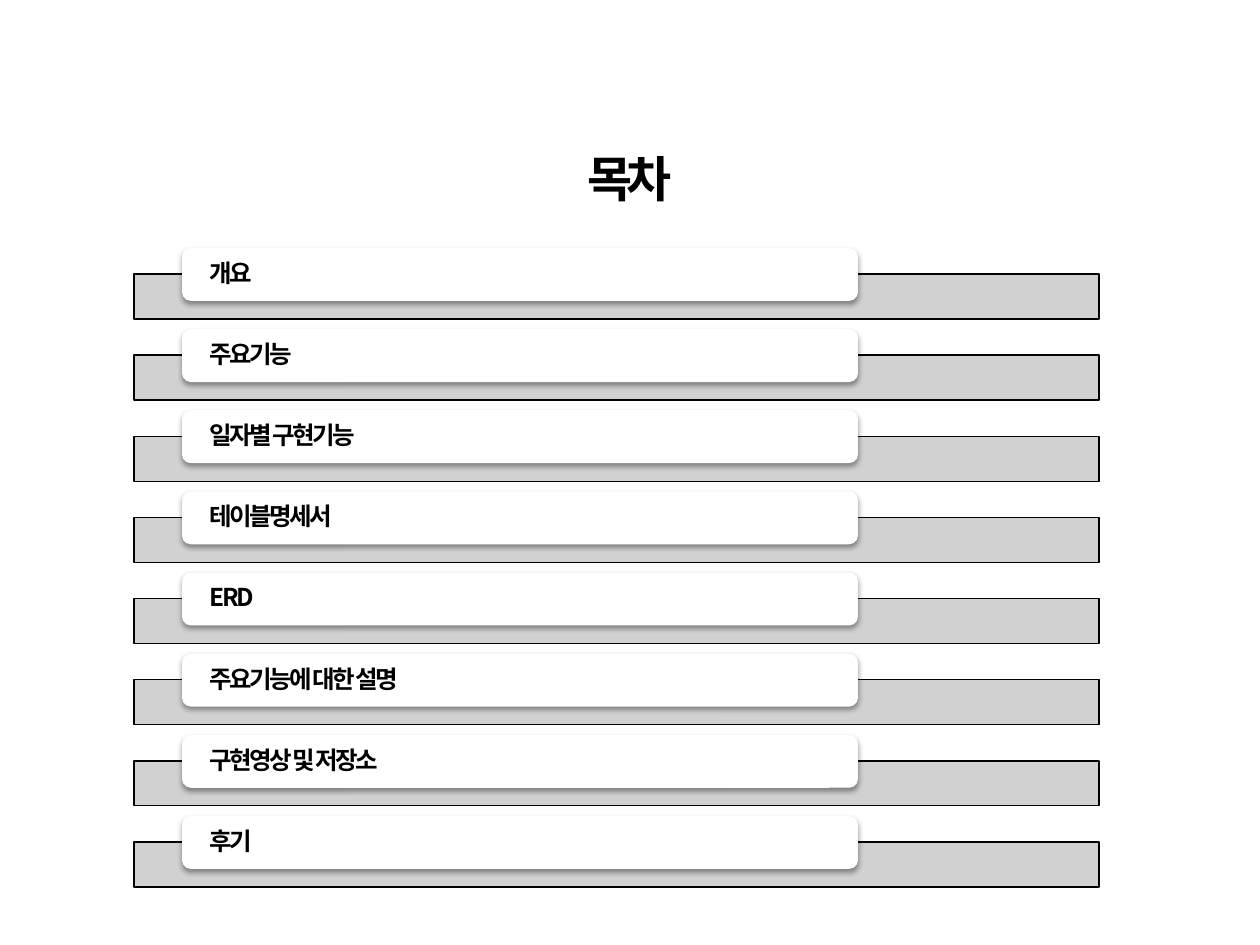
import pptx
import pptx.util
import pptx.dml.color
import pptx.enum.shapes
import pptx.enum.text
import pptx.oxml
import pptx.oxml.ns
import lxml.etree

TITLE = "목차"
ITEMS = [
    "개요",
    "주요기능",
    "일자별 구현기능",
    "테이블명세서",
    "ERD",
    "주요기능에 대한 설명",
    "구현영상 및 저장소",
    "후기",
]
FACE = "Noto Sans CJK KR"
HEAD = (94, 76, 1071, 203)
FIRST, LAST = 248, 816
BAR_X, BAR_W, BAR_H, DROP = 134, 965, 45, 26
CARD_X, CARD_W, CARD_H, PAD = 182, 676, 53, 25
NS = pptx.oxml.ns.nsdecls("a")
SHAPE = pptx.enum.shapes.MSO_SHAPE
ALIGN = pptx.enum.text.PP_ALIGN
MID = pptx.enum.text.MSO_ANCHOR.MIDDLE


def px(n):
    """Turn pixels into EMU."""
    return pptx.util.Emu(round(n * 914400 / 126))


def paint(fmt, code):
    """Set a solid colour on a fill."""
    fmt.solid()
    fmt.fore_color.rgb = pptx.dml.color.RGBColor.from_string(code)


def write(frame, text, size, space, align):
    """Put one bold line of text in a frame."""
    frame.text = text
    frame.word_wrap = True
    frame.vertical_anchor = MID
    para = frame.paragraphs[0]
    para.alignment = align
    font = para.font
    font.size = pptx.util.Pt(size)
    font.bold = True
    font.name = FACE
    paint(font.fill, "000000")
    props = para._p.get_or_add_pPr().get_or_add_defRPr()
    props.set("spc", str(round(space * 100)))
    east = lxml.etree.SubElement(props, pptx.oxml.ns.qn("a:ea"))
    east.set("typeface", FACE)
    return para


def block(kind, x, y, w, h, code):
    """Add a filled shape without a shadow."""
    shape = slide.shapes.add_shape(kind, px(x), px(y), px(w), px(h))
    paint(shape.fill, code)
    shape.shadow.inherit = False
    return shape


def add_bar(y):
    """Add the grey bar behind a card."""
    bar = block(SHAPE.RECTANGLE, BAR_X, y, BAR_W, BAR_H, "CCCCCC")
    paint(bar.line.fill, "000000")
    bar.line.width = pptx.util.Pt(0.75)
    tone = bar.fill._xPr.find(".//" + pptx.oxml.ns.qn("a:srgbClr"))
    tone.append(pptx.oxml.parse_xml(f'<a:alpha {NS} val="90000"/>'))


def add_card(y, text):
    """Add a white card with its text and soft shadow."""
    card = block(SHAPE.ROUNDED_RECTANGLE, CARD_X, y, CARD_W, CARD_H, "FFFFFF")
    card.line.fill.background()
    glow = card._element.spPr.find(pptx.oxml.ns.qn("a:effectLst"))
    glow.append(pptx.oxml.parse_xml(
        f'<a:outerShdw {NS} blurRad="40000" dist="20000" dir="5400000" '
        'rotWithShape="0"><a:srgbClr val="000000"><a:alpha val="38000"/>'
        '</a:srgbClr></a:outerShdw>'))
    frame = card.text_frame
    frame.margin_left = frame.margin_right = px(PAD)
    frame.margin_top = frame.margin_bottom = 0
    write(frame, text, 14, -1.5, ALIGN.LEFT).line_spacing = 0.9


deck = pptx.Presentation()
deck.slide_width, deck.slide_height = px(1260), px(945)
slide = deck.slides.add_slide(deck.slide_layouts[5])

title = slide.shapes.title
title.left, title.top, title.width, title.height = map(px, HEAD)
write(title.text_frame, TITLE, 28, -3, ALIGN.CENTER)

step = (LAST - FIRST) / (len(ITEMS) - 1)
for i, item in enumerate(ITEMS):
    top = FIRST + i * step
    add_bar(top + DROP)
    add_card(top, item)

deck.save("out.pptx")
